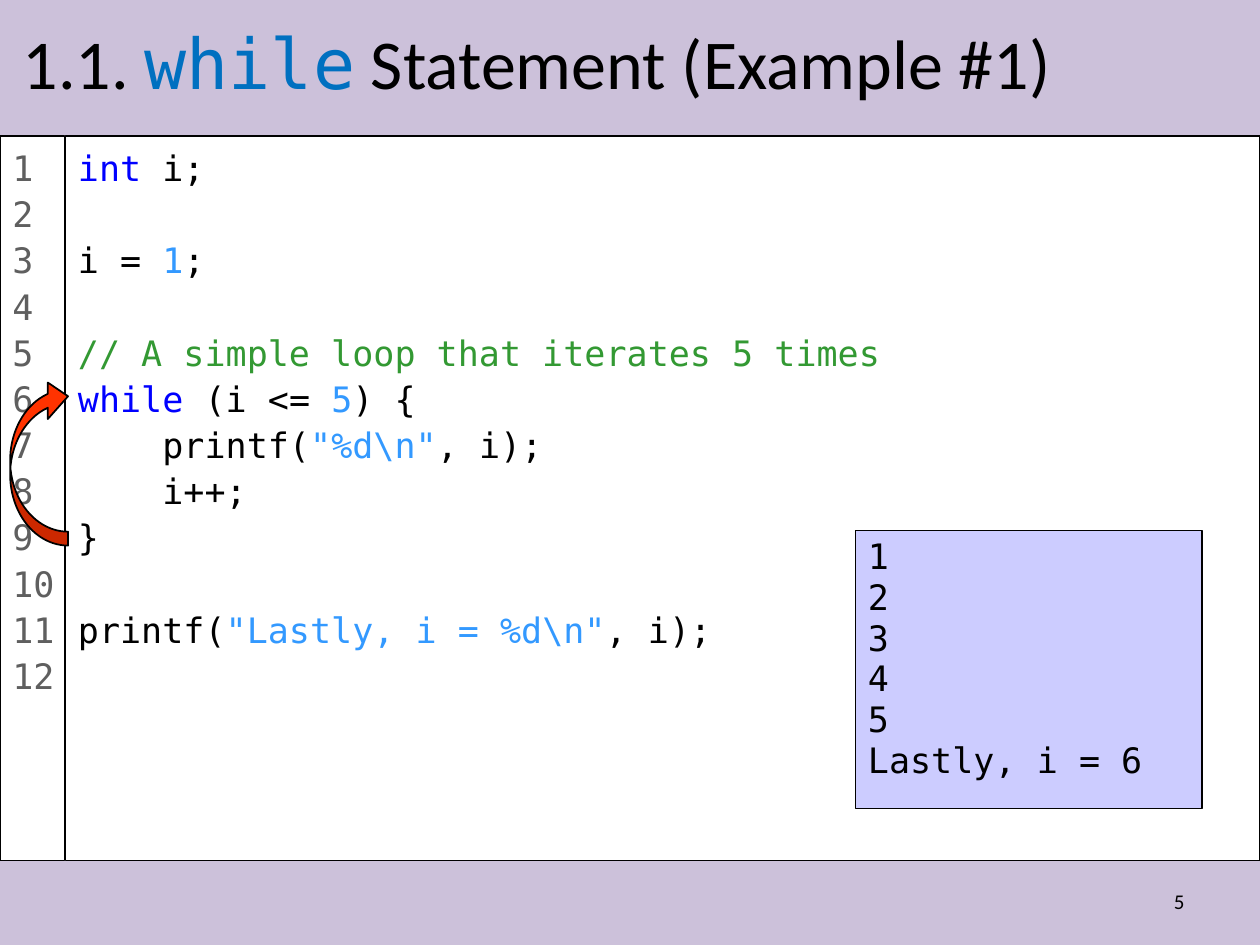
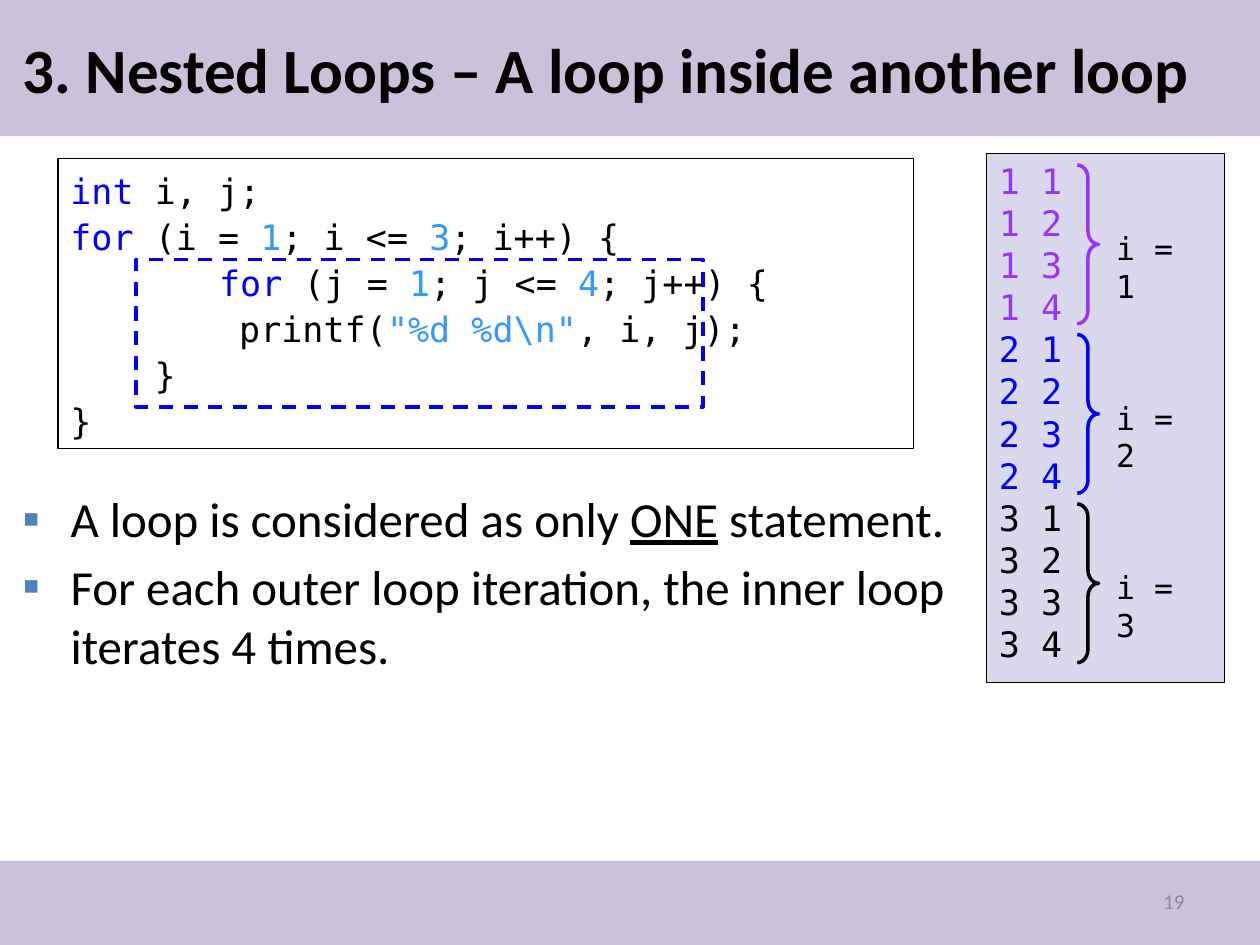
from dataclasses import dataclass
from typing import NamedTuple, Optional

from lxml import etree
from pptx import Presentation
from pptx.dml.color import RGBColor
from pptx.enum.dml import MSO_LINE
from pptx.enum.shapes import MSO_SHAPE
from pptx.enum.text import MSO_ANCHOR, PP_ALIGN
from pptx.oxml.ns import qn
from pptx.util import Inches, Pt

RECTANGLE = MSO_SHAPE.RECTANGLE
CURVED_ARROW = MSO_SHAPE.CURVED_LEFT_ARROW
RIGHT_BRACE = MSO_SHAPE.RIGHT_BRACE
DASH = MSO_LINE.DASH
TOP, MIDDLE = MSO_ANCHOR.TOP, MSO_ANCHOR.MIDDLE
LEFT, RIGHT = PP_ALIGN.LEFT, PP_ALIGN.RIGHT

BLACK = RGBColor(0x00, 0x00, 0x00)
WHITE = RGBColor(0xFF, 0xFF, 0xFF)
BAND = RGBColor(0xCC, 0xC1, 0xDA)
LINE_NUMBER = RGBColor(0x5F, 0x5F, 0x5F)
PAGE_GREY = RGBColor(0x8C, 0x8C, 0x8C)
TITLE_BLUE = RGBColor(0x00, 0x70, 0xC0)
BULLET_BLUE = RGBColor(0x4F, 0x81, 0xBD)
KEYWORD = RGBColor(0x00, 0x00, 0xFF)
LITERAL = RGBColor(0x33, 0x99, 0xFF)
COMMENT = RGBColor(0x33, 0x99, 0x33)
PURPLE = RGBColor(0x99, 0x33, 0xFF)
OUTPUT_BLUE = RGBColor(0xCC, 0xCC, 0xFF)
OUTPUT_LILAC = RGBColor(0xD9, 0xD8, 0xEC)
ARROW_RED = RGBColor(0xFF, 0x33, 0x00)

BODY_FONT = "Calibri"
CODE_FONT = "DejaVu Sans Mono"
CODE_SIZE = 20


class Area(NamedTuple):
    left: float
    top: float
    width: float
    height: float

    def lengths(self) -> list:
        return [Inches(value) for value in self]


@dataclass
class Span:
    text: str
    color: RGBColor = BLACK
    font: str = CODE_FONT
    bold: bool = False
    underline: bool = False


@dataclass
class Look:
    size: float = CODE_SIZE
    line_spacing: Optional[float] = None
    space_before: float = 0
    align: PP_ALIGN = LEFT
    anchor: MSO_ANCHOR = TOP


CODE_LOOK = Look(line_spacing=1.1)
PAGE_NUMBER_LOOK = Look(size=12, align=RIGHT, anchor=MIDDLE)


def keyword(text: str) -> Span:
    return Span(text, KEYWORD)


def literal(text: str) -> Span:
    return Span(text, LITERAL)


def prose(text: str, **style) -> Span:
    return Span(text, font=BODY_FONT, **style)


def write(box, lines: list, look: Look) -> None:
    frame = box.text_frame
    frame.word_wrap = True
    frame.vertical_anchor = look.anchor
    for index, spans in enumerate(lines):
        para = frame.add_paragraph() if index else frame.paragraphs[0]
        para.alignment = look.align
        para.space_before = Pt(look.space_before if index else 0)
        if look.line_spacing:
            para.line_spacing = look.line_spacing
        for span in spans:
            run = para.add_run()
            run.text = span.text
            font = run.font
            font.name, font.size = span.font, Pt(look.size)
            font.bold, font.underline = span.bold, span.underline
            font.color.rgb = span.color
        if not spans:
            end = etree.SubElement(para._p, qn("a:endParaRPr"), sz=str(look.size * 100))
            etree.SubElement(end, qn("a:latin"), typeface=CODE_FONT)


def add_figure(shapes, kind, area: Area, fill=None, line=None, weight: float = 0.75):
    figure = shapes.add_shape(kind, *area.lengths())
    figure.shadow.inherit = False
    if fill is None:
        figure.fill.background()
    else:
        figure.fill.solid()
        figure.fill.fore_color.rgb = fill
    if line is None:
        figure.line.fill.background()
    else:
        figure.line.color.rgb = line
        figure.line.width = Pt(weight)
    return figure


def add_panel(shapes, area: Area, fill: RGBColor, lines: list, look: Look):
    panel = add_figure(shapes, RECTANGLE, area, fill, BLACK)
    write(panel, lines, look)
    return panel


def add_label(shapes, area: Area, span: Span, look: Look) -> None:
    write(shapes.add_textbox(*area.lengths()), [[span]], look)


def fill_placeholder(holder, area: Area, lines: list, look: Look) -> None:
    holder.left, holder.top, holder.width, holder.height = area.lengths()
    write(holder, lines, look)


def add_page_number(page, number: str, color: RGBColor) -> None:
    add_label(page.shapes, Area(7.17, 6.95, 2.33, 0.4), prose(number, color=color), PAGE_NUMBER_LOOK)


def add_master_bands(deck, page) -> None:
    tree = deck.slide_master.shapes.element
    for index, area in enumerate([Area(0, 0, 10, 1.08), Area(0, 6.83, 10, 0.67)]):
        band = add_figure(page.shapes, RECTANGLE, area, BAND).element
        band.nvSpPr.cNvPr.set("id", str(101 + index))
        tree.insert(2 + index, band)


def add_bullet(para) -> None:
    properties = para._p.get_or_add_pPr()
    properties.set("marL", str(Inches(0.38)))
    properties.set("indent", str(Inches(-0.38)))
    color = etree.SubElement(properties, qn("a:buClr"))
    etree.SubElement(color, qn("a:srgbClr"), val=str(BULLET_BLUE))
    etree.SubElement(properties, qn("a:buFont"), typeface=BODY_FONT)
    etree.SubElement(properties, qn("a:buChar"), char="▪")


def add_tab_stop(para, position: float) -> None:
    tabs = etree.SubElement(para._p.get_or_add_pPr(), qn("a:tabLst"))
    etree.SubElement(tabs, qn("a:tab"), pos=str(Inches(position)), algn="l")


def build_while_page(page) -> None:
    shapes = page.shapes
    title = [prose("1.1. "), Span("while", TITLE_BLUE), prose(" Statement (Example #1)")]
    fill_placeholder(shapes.title, Area(0.08, 0.08, 9.83, 0.81), [title], Look(40, anchor=MIDDLE))

    numbers = [[Span(str(number), LINE_NUMBER)] for number in range(1, 13)]
    margin = add_panel(shapes, Area(0, 1.08, 0.51, 5.75), WHITE, numbers, CODE_LOOK)
    margin.text_frame.margin_right = 0
    add_page_number(page, "5", BLACK)

    code = [
        [keyword("int "), Span("i;")],
        [],
        [Span("i = "), literal("1"), Span(";")],
        [],
        [Span("// A simple loop that iterates 5 times", COMMENT)],
        [keyword("while"), Span(" (i <= "), literal("5"), Span(") {")],
        [Span("    printf("), literal('"%d\\n"'), Span(", i);")],
        [Span("    i++;")],
        [Span("}")],
        [],
        [Span("printf("), literal('"Lastly, i = %d\\n"'), Span(", i);")],
    ]
    add_panel(shapes, Area(0.52, 1.08, 9.48, 5.75), WHITE, code, CODE_LOOK)

    output = [[Span(text)] for text in ["1", "2", "3", "4", "5", "Lastly, i = 6"]]
    console = add_panel(shapes, Area(6.79, 4.21, 2.75, 2.21), OUTPUT_BLUE, output,
                        Look(line_spacing=0.8, space_before=4))
    console.text_frame.margin_top = console.text_frame.margin_bottom = Inches(0.1)

    arrow = add_figure(shapes, CURVED_ARROW, Area(0.08, 3, 0.46, 1.33), ARROW_RED, BLACK, 1)
    arrow.rotation = 180
    for index, value in enumerate([0.24, 0.63, 0.35]):
        arrow.adjustments[index] = value


def build_nested_page(page) -> None:
    shapes = page.shapes
    title = [prose("3. Nested Loops – A loop inside another loop", bold=True)]
    fill_placeholder(shapes.title, Area(0.08, 0.08, 9.76, 0.92), [title], Look(36, anchor=MIDDLE))

    body = page.placeholders[1]
    points = [
        [prose("A loop is considered as only "), prose("ONE", underline=True), prose(" statement.")],
        [prose("For each outer loop iteration, the inner loop iterates 4 times.")],
    ]
    fill_placeholder(body, Area(0.08, 3.83, 7.59, 2.92), points, Look(28, space_before=5))
    for para in body.text_frame.paragraphs:
        add_bullet(para)
    add_page_number(page, "19", PAGE_GREY)

    code = [
        [keyword("int "), Span("i, j;")],
        [keyword("for"), Span(" (i = "), literal("1"), Span("; i <= "), literal("3"), Span("; i++) {")],
        [Span("\t    "), keyword("for "), Span("(j = "), literal("1"), Span("; j <= "),
         literal("4"), Span("; j++) {")],
        [Span("        printf("), literal('"%d %d\\n"'), Span(", i, j);")],
        [Span("    }")],
        [Span("}")],
    ]
    listing = add_panel(shapes, Area(0.46, 1.26, 6.79, 2.3), WHITE, code, CODE_LOOK)
    add_tab_stop(listing.text_frame.paragraphs[2], 0.51)
    inner_loop = add_figure(shapes, RECTANGLE, Area(1.08, 2.06, 4.5, 1.17), line=KEYWORD, weight=2)
    inner_loop.line.dash_style = DASH

    group = shapes.add_group_shape().shapes
    pass_colors = [PURPLE, KEYWORD, BLACK]
    output = [[Span(f"{outer} {inner}", color)]
              for outer, color in enumerate(pass_colors, 1) for inner in range(1, 5)]
    add_panel(group, Area(7.83, 1.22, 1.89, 4.2), OUTPUT_LILAC, output, Look())
    for index, color in enumerate(pass_colors):
        top = 1.31 + 1.345 * index
        brace = add_figure(group, RIGHT_BRACE, Area(8.55, top, 0.17, 1.26), line=color, weight=2)
        brace.adjustments[0] = 0.62
        add_label(group, Area(8.76, top + 0.46, 0.89, 0.4), Span(f"i = {index + 1}"), Look(18))


def main() -> None:
    deck = Presentation()
    deck.slide_width, deck.slide_height = Inches(10), Inches(7.5)
    title_only, title_and_body = deck.slide_layouts[5], deck.slide_layouts[1]
    while_page = deck.slides.add_slide(title_only)
    add_master_bands(deck, while_page)
    build_while_page(while_page)
    build_nested_page(deck.slides.add_slide(title_and_body))
    deck.save("out.pptx")


if __name__ == "__main__":
    main()
